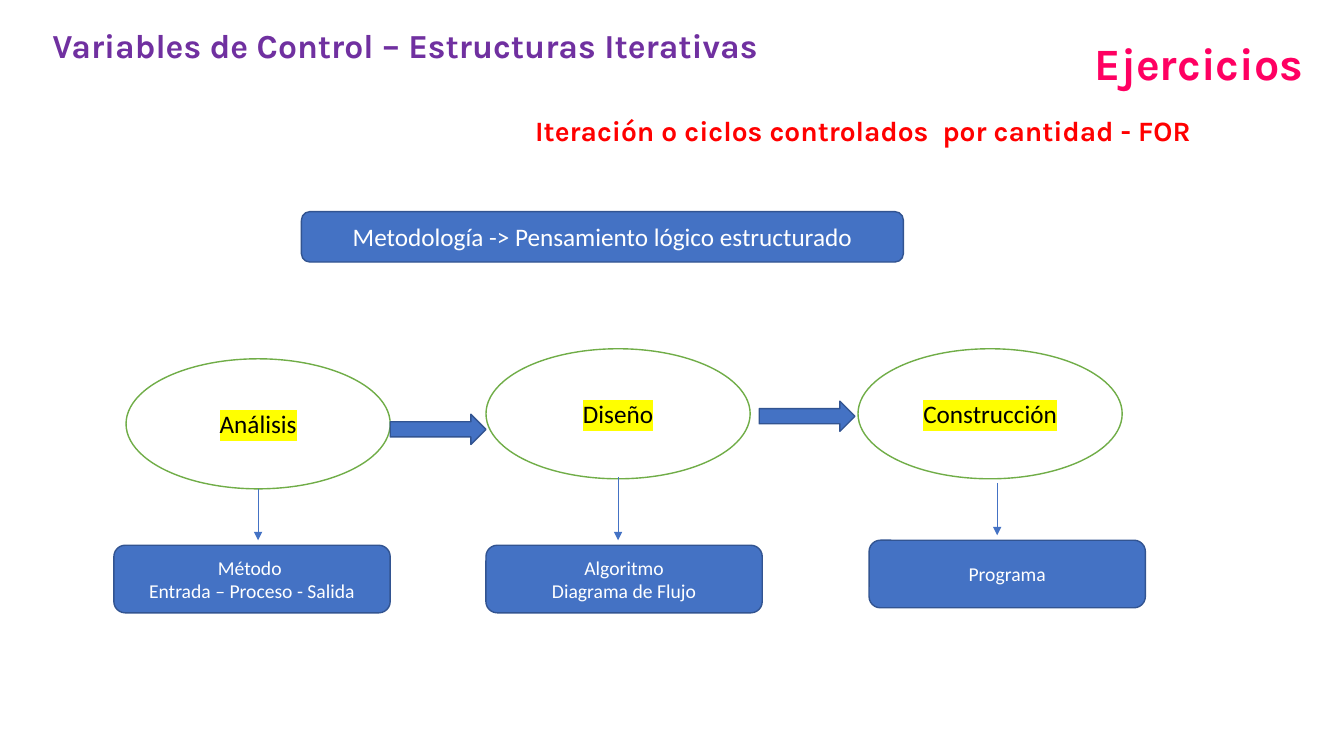
from lxml.etree import SubElement
from pptx import Presentation
from pptx.dml.color import RGBColor
from pptx.enum.shapes import MSO_CONNECTOR as Line, MSO_SHAPE as Shape
from pptx.enum.text import MSO_ANCHOR as Anchor, MSO_AUTO_SIZE as Fit, PP_ALIGN as Align
from pptx.oxml.ns import qn
from pptx.util import Pt

PX = 9144  # 100 px to the inch
WHITE = RGBColor(0xFF, 0xFF, 0xFF)
BLACK = RGBColor(0x00, 0x00, 0x00)
BLUE = RGBColor(0x44, 0x72, 0xC4)
NAVY = RGBColor(0x32, 0x54, 0x91)
GREEN = RGBColor(0x70, 0xAD, 0x47)
YELLOW = RGBColor(0xFF, 0xFF, 0x00)
PINK = RGBColor(0xFF, 0x00, 0x62)
RED = RGBColor(0xFF, 0x00, 0x00)
PURPLE = RGBColor(0x70, 0x30, 0xA0)


def px(*sizes):
    return [size * PX for size in sizes]


def write(frame, text, size=18, color=WHITE, font="Calibri", bold=False,
          align=Align.CENTER, anchor=Anchor.MIDDLE, mark=None):
    frame.word_wrap = True
    frame.auto_size = Fit.NONE
    frame.vertical_anchor = anchor
    for i, words in enumerate(text.split("\n")):
        par = frame.add_paragraph() if i else frame.paragraphs[0]
        par.alignment = align
        run = par.add_run()
        run.text = words
        run.font.size, run.font.bold = Pt(size), bold
        run.font.color.rgb = color
        if mark:
            light = SubElement(run.font._element, qn("a:highlight"))
            SubElement(light, qn("a:srgbClr"), val=str(mark))
        run.font.name = font


def draw(slide, kind, box, fill=BLUE, edge=NAVY):
    shape = slide.shapes.add_shape(kind, *px(*box))
    shape.shadow.inherit = False
    shape.fill.solid()
    shape.fill.fore_color.rgb = fill
    shape.line.color.rgb = edge
    shape.line.width = Pt(1)
    return shape


def link(slide, x, top, end):
    line = slide.shapes.add_connector(Line.STRAIGHT, *px(x, top, x, end))
    line.line.color.rgb = BLUE
    line.line.width = Pt(0.5)
    SubElement(line.line._get_or_add_ln(), qn("a:tailEnd"), type="triangle")
    SubElement(line._element.spPr, qn("a:effectLst"))


def head(slide):
    """Title, section label and topic."""
    style = dict(font="Karla", bold=True, anchor=Anchor.TOP)
    title = slide.shapes.title
    title.left, title.top, title.width, title.height = px(42, 20, 740, 50)
    write(title.text_frame, "Variables de Control – Estructuras Iterativas",
          size=24, color=PURPLE, align=Align.LEFT, **style)
    for text, box, size, color, align in (
            ("Ejercicios", (1076, 31, 314, 64), 32, PINK, Align.LEFT),
            ("Iteración o ciclos controlados  por cantidad - FOR",
             (521, 108, 791, 44), 20, RED, Align.JUSTIFY)):
        label = slide.shapes.add_textbox(*px(*box))
        write(label.text_frame, text, size=size, color=color, align=align, **style)


def stage(slide, x, y, name, result, shift, drop, gap, lean=0):
    """Oval at x, y with its result box at an offset and a line between."""
    oval = draw(slide, Shape.OVAL, (x, y, 262, 129), WHITE, GREEN)
    write(oval.text_frame, name, color=BLACK, mark=YELLOW)
    low = y + drop
    card = draw(slide, Shape.ROUNDED_RECTANGLE, (x + shift, low, 274, 67))
    write(card.text_frame, result, size=14)
    link(slide, x + 131 + lean, y + 129 + gap, low - 5)


def flow(slide):
    """Method banner, three stages and the arrows between them."""
    banner = draw(slide, Shape.ROUNDED_RECTANGLE, (299, 210, 597, 50))
    write(banner.text_frame, "Metodología -> Pensamiento lógico estructurado")
    stage(slide, 125, 356, "Análisis", "Método \nEntrada – Proceso - Salida",
          shift=-12, drop=185, gap=0)
    stage(slide, 482, 346, "Diseño", "Algoritmo\nDiagrama de Flujo",
          shift=0, drop=195, gap=-2)
    stage(slide, 851, 346, "Construcción", "Programa",
          shift=11, drop=190, gap=4, lean=7)
    for x, y in ((387, 411), (753, 398)):
        draw(slide, Shape.RIGHT_ARROW, (x, y, 95, 30))


def main():
    deck = Presentation()
    deck.slide_width, deck.slide_height = px(1333, 750)
    slide = deck.slides.add_slide(deck.slide_layouts[5])
    head(slide)
    flow(slide)
    deck.save("out.pptx")


if __name__ == "__main__":
    main()
